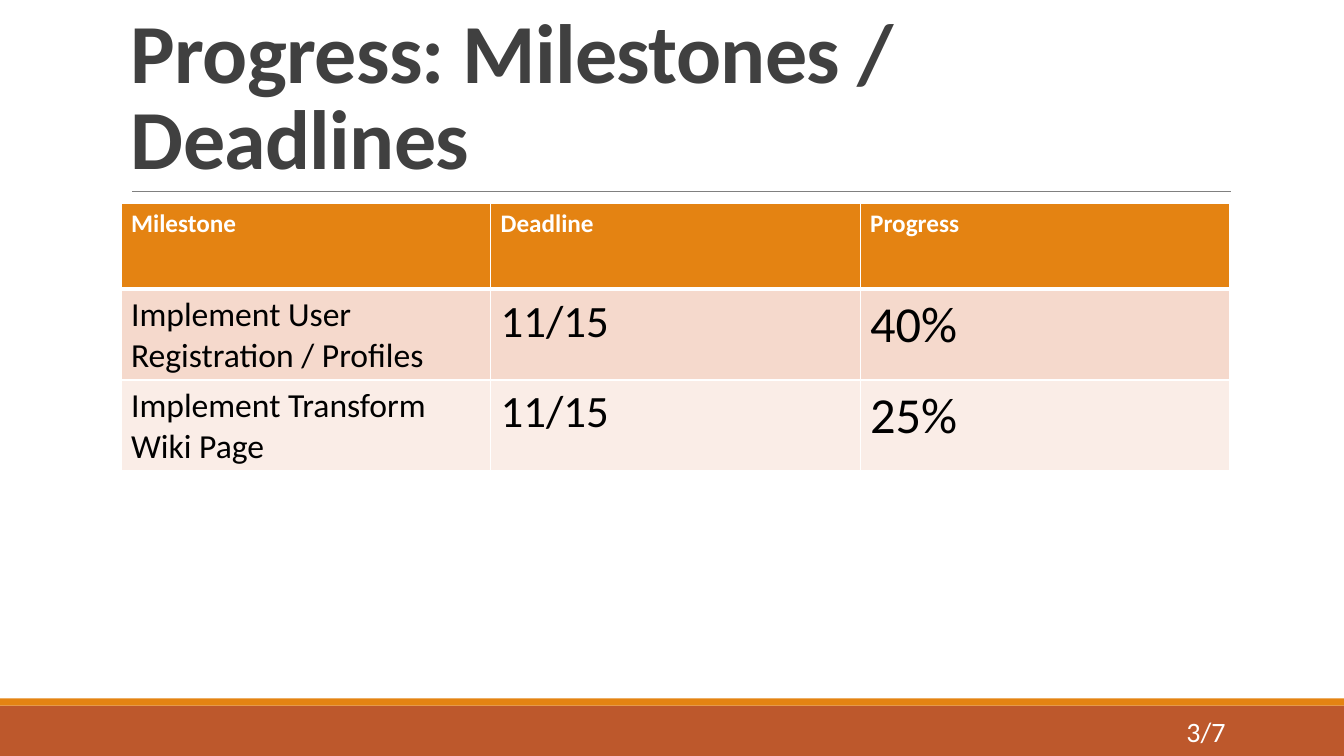
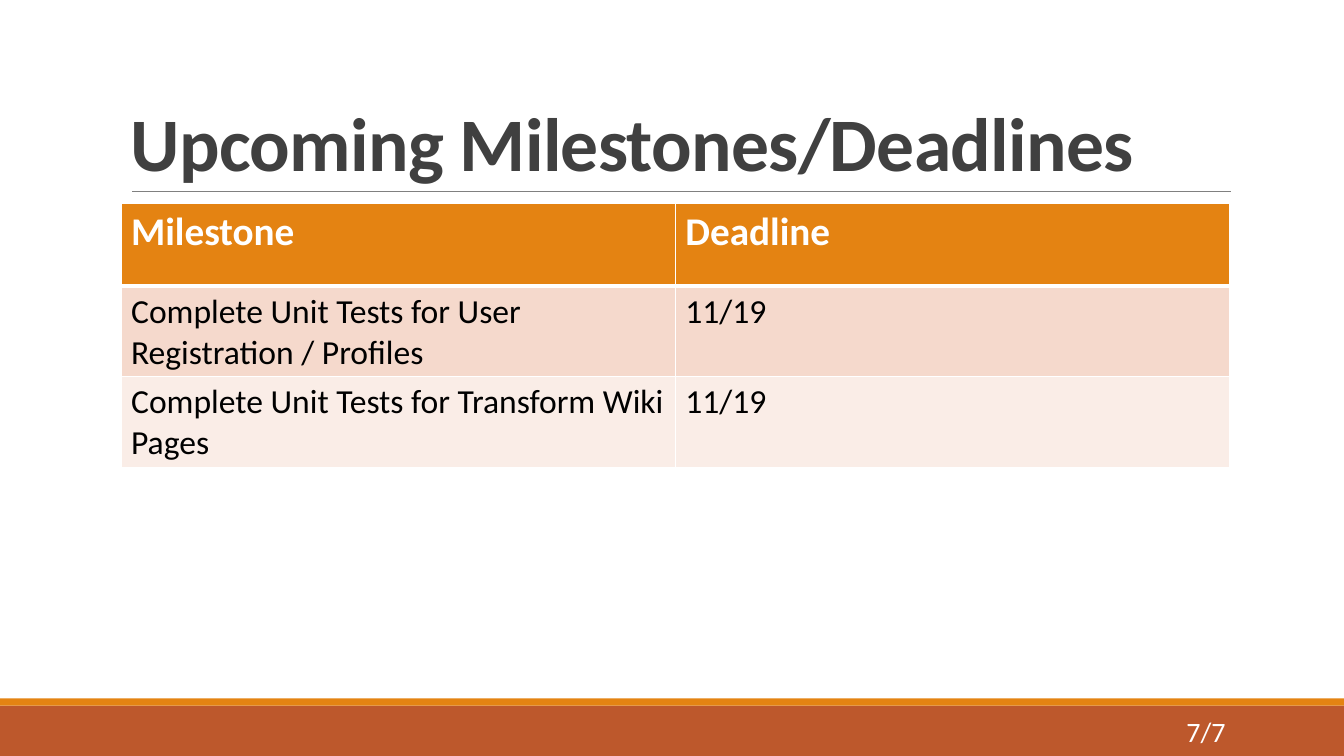
from dataclasses import dataclass

from lxml import etree
from pptx import Presentation
from pptx.dml.color import RGBColor
from pptx.enum import shapes, text
from pptx.oxml.ns import qn
from pptx.slide import Slide
from pptx.util import Cm, Length, Pt

FONT = "Calibri"
WHITE = RGBColor(0xFF, 0xFF, 0xFF)
BLACK = RGBColor(0x00, 0x00, 0x00)
DARK = RGBColor(0x40, 0x40, 0x40)
GRAY = RGBColor(0x80, 0x80, 0x80)
ORANGE = RGBColor(0xE4, 0x83, 0x12)
RUST = RGBColor(0xBD, 0x58, 0x2C)
BANDS = (RGBColor(0xF5, 0xD9, 0xCC), RGBColor(0xFA, 0xED, 0xE7))

WIDE, HIGH = Cm(33.87), Cm(19.05)
LEFT, SPAN = Cm(3.05), Cm(27.94)


@dataclass(frozen=True)
class Page:
    title: str
    size: int
    number: str
    row: Length
    head: int
    sizes: tuple[int, ...]
    rows: tuple[tuple[str, ...], ...]


PAGES = (
    Page("Progress: Milestones / Deadlines", 60, "3/7", Cm(2.16), 18, (24, 32, 36), (
        ("Milestone", "Deadline", "Progress"),
        ("Implement User Registration / Profiles", "11/15", "40%"),
        ("Implement Transform Wiki Page", "11/15", "25%"),
    )),
    Page("Upcoming Milestones/Deadlines", 54, "7/7", Cm(2.08), 28, (24, 24), (
        ("Milestone", "Deadline"),
        ("Complete Unit Tests for User Registration / Profiles", "11/19"),
        ("Complete Unit Tests for Transform Wiki Pages", "11/19"),
    )),
)


def write(frame, words: str, *, size: int, color: RGBColor, bold: bool = False,
          align=text.PP_ALIGN.LEFT, anchor=text.MSO_ANCHOR.TOP,
          lead: float | None = None, track: float = 0) -> None:
    """Fill a text frame; track is the letter spacing in points."""
    frame.word_wrap = True
    frame.vertical_anchor = anchor
    para = frame.paragraphs[0]
    para.alignment = align
    para.line_spacing = lead
    run = para.add_run()
    run.text = words
    font = run.font
    font.name, font.size, font.bold = FONT, Pt(size), bold
    font.color.rgb = color
    if track:
        run._r.get_or_add_rPr().set("spc", str(round(track * 100)))


def band(slide: Slide, top: Length, high: Length, color: RGBColor) -> None:
    bar = slide.shapes.add_shape(shapes.MSO_SHAPE.RECTANGLE, 0, top, WIDE, high)
    bar.shadow.inherit = False
    bar.fill.solid()
    bar.fill.fore_color.rgb = color
    bar.line.fill.background()


def rule(slide: Slide) -> None:
    """Draw the thin line below the title."""
    y = Cm(4.83)
    line = slide.shapes.add_connector(
        shapes.MSO_CONNECTOR.STRAIGHT, Cm(3.33), y, Cm(31.01), y)
    line.line.color.rgb = GRAY
    line.line.width = Pt(0.5)
    etree.SubElement(line._element.spPr, qn("a:effectLst"))


def edge(cell, base: float) -> None:
    """Give a cell white borders, the bottom one base points wide."""
    props = cell._tc.get_or_add_tcPr()
    for side, wide in (("L", 1), ("R", 1), ("T", 1), ("B", base)):
        line = etree.SubElement(props, qn(f"a:ln{side}"), w=str(Pt(wide)))
        fill = etree.SubElement(line, qn("a:solidFill"))
        etree.SubElement(fill, qn("a:srgbClr"), val=str(WHITE))


def grid(slide: Slide, page: Page) -> None:
    count = len(page.rows)
    table = slide.shapes.add_table(
        count, len(page.sizes), LEFT, Cm(5.13), SPAN, page.row * count).table
    for r, row in enumerate(page.rows):
        table.rows[r].height = page.row
        top = r == 0
        for c, words in enumerate(row):
            cell = table.cell(r, c)
            # Borders must come before the fill in the cell properties.
            edge(cell, 3 if r < 1 else 1)
            cell.fill.solid()
            cell.fill.fore_color.rgb = ORANGE if top else BANDS[(r - 1) % 2]
            write(cell.text_frame, words, bold=top,
                  size=page.head if top else page.sizes[c],
                  color=WHITE if top else BLACK)
            if r == 1:
                cell._tc.tcPr.find(qn("a:lnT")).set("w", str(Pt(3)))


def build(slide: Slide, page: Page) -> None:
    band(slide, Cm(17.78), Cm(1.27), RUST)
    band(slide, Cm(17.6), Cm(0.18), ORANGE)
    rule(slide)
    title = slide.shapes.add_textbox(LEFT, Cm(0.79), SPAN, Cm(4.04))
    write(title.text_frame, page.title, size=page.size, color=DARK, bold=True,
          anchor=text.MSO_ANCHOR.BOTTOM, lead=0.85, track=-0.5)
    grid(slide, page)
    number = slide.shapes.add_textbox(Cm(27.51), Cm(17.93), Cm(3.63), Cm(1.02))
    write(number.text_frame, page.number, size=20, color=WHITE,
          align=text.PP_ALIGN.RIGHT, anchor=text.MSO_ANCHOR.MIDDLE)


def main() -> None:
    deck = Presentation()
    deck.slide_width, deck.slide_height = WIDE, HIGH
    for page in PAGES:
        build(deck.slides.add_slide(deck.slide_layouts[6]), page)
    deck.save("out.pptx")


if __name__ == "__main__":
    main()
